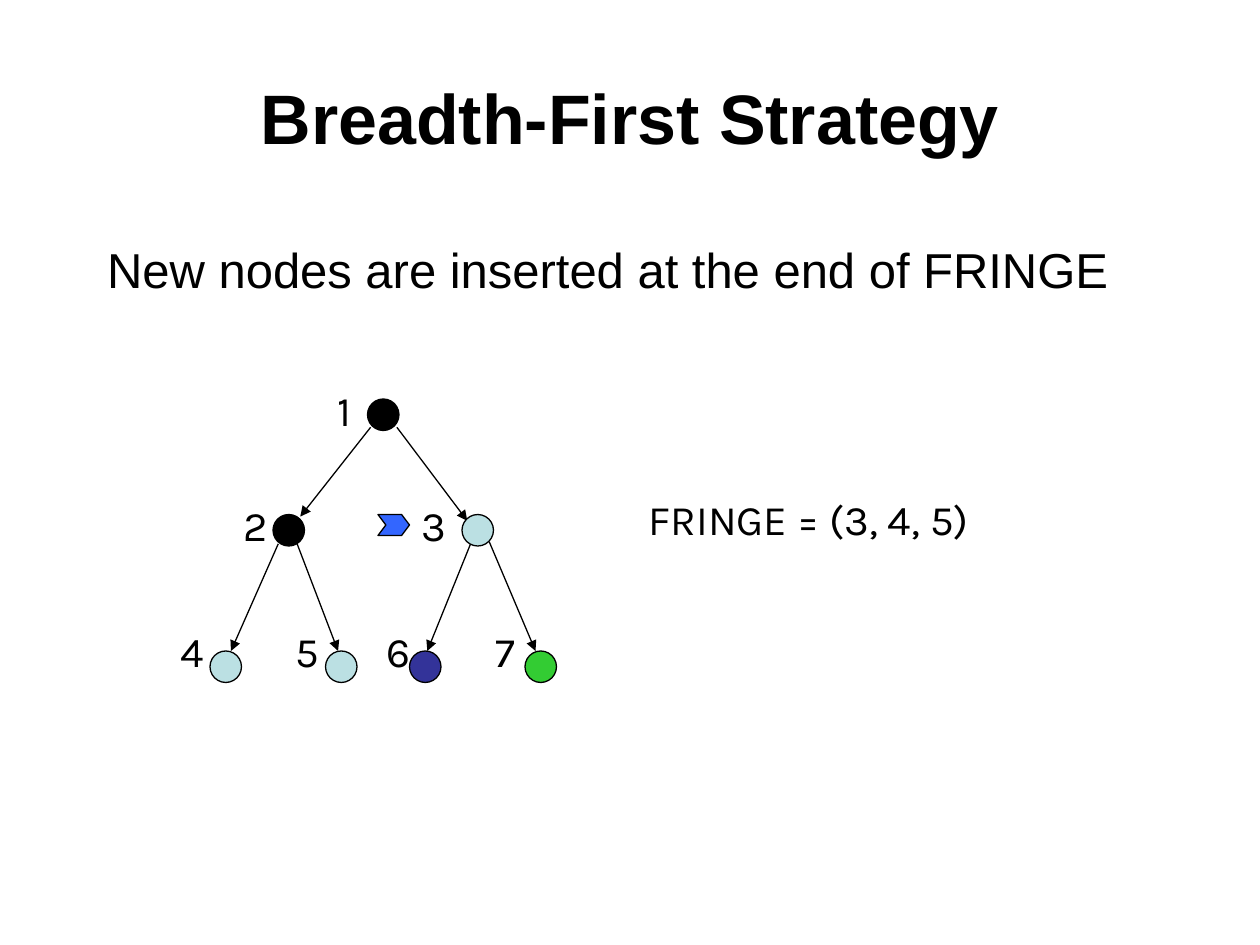
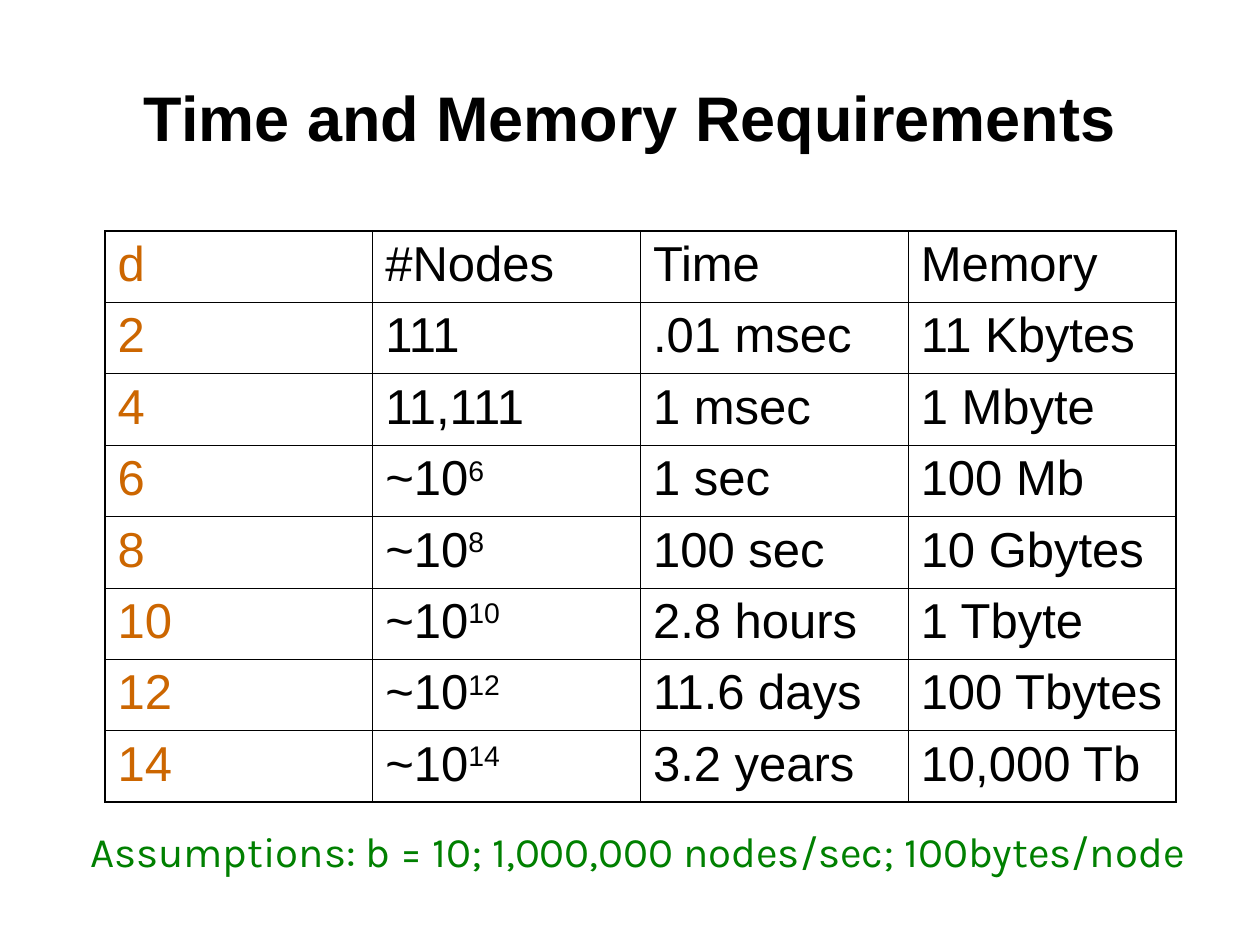
from collections import namedtuple

from lxml import etree
from pptx import Presentation
from pptx.dml.color import RGBColor
from pptx.enum.shapes import MSO_CONNECTOR, MSO_SHAPE
from pptx.enum.text import MSO_ANCHOR, MSO_AUTO_SIZE, PP_ALIGN
from pptx.oxml.ns import qn
from pptx.util import Inches, Pt

STRAIGHT, ELLIPSE = MSO_CONNECTOR.STRAIGHT, MSO_SHAPE.OVAL
MIDDLE, TOP = MSO_ANCHOR.MIDDLE, MSO_ANCHOR.TOP
GROW, FIXED = MSO_AUTO_SIZE.SHAPE_TO_FIT_TEXT, MSO_AUTO_SIZE.NONE
CENTER, LEFT = PP_ALIGN.CENTER, PP_ALIGN.LEFT

Box = namedtuple("Box", "left top width height")
WIDTH, HEIGHT = Inches(10), Inches(7.5)
UNIT = WIDTH // 120

INK, PALE, GOAL, DEEP = "000000", "BBE0E3", "33CC33", "333399"
POINTER, DEPTH, NOTE = "3366FF", "CC6600", "008000"
HAIR, THIN, THICK = 0.45, 0.75, 1.08

BODY_FONT = {"name": "Arial", "size": Pt(28), "bold": False}
TITLE_FONT = {"name": "Arial", "size": Pt(40), "bold": True}
LABEL_FONT = {"name": "Karla", "size": Pt(24), "bold": False}

TITLE_BOX = Box(6, 3.6, 108, 15)
BODY_BOX = Box(6, 21, 108, 59.4)
TREE_BOX = Box(16, 36, 37, 29)
FRINGE_BOX = Box(60.6, 46.4, 34.3, 6)
TABLE_BOX = Box(10, 22, 102, 54.4)
NOTE_BOX = Box(7.4, 78, 110.9, 6)

NODE_SIZE = 3
NODES = [
    ("1", (19, 2), (15, 0), INK),
    ("2", (10, 13), (6, 11), INK),
    ("3", (28, 13), (23, 11), PALE),
    ("4", (4, 26), (0, 23), PALE),
    ("5", (15, 26), (11, 23), PALE),
    ("6", (23, 26), (19.6, 23), DEEP),
    ("7", (34, 26), (30, 23), GOAL),
]
EDGES = [
    ((19.3, 4.7), (12.6, 13.2)),
    ((21.8, 4.7), (28.5, 13.6)),
    ((10.5, 15.8), (6, 26)),
    ((12.3, 15.8), (16.2, 26)),
    ((28.9, 15.6), (24.7, 26)),
    ((30.6, 15.6), (35, 26)),
]
POINTER_AT = (20, 13)
POINTER_OUTLINE = [(0, 0), (2.25, 0), (3, 1), (2.25, 2), (0, 2), (0.75, 1)]

REQUIREMENTS = [
    ("d", "#Nodes", "Time", "Memory"),
    ("2", "111", ".01 msec", "11 Kbytes"),
    ("4", "11,111", "1 msec", "1 Mbyte"),
    ("6", "~10^6", "1 sec", "100 Mb"),
    ("8", "~10^8", "100 sec", "10 Gbytes"),
    ("10", "~10^10", "2.8 hours", "1 Tbyte"),
    ("12", "~10^12", "11.6 days", "100 Tbytes"),
    ("14", "~10^14", "3.2 years", "10,000 Tb"),
]


def color(value):
    """Turn a hex string into a colour."""
    return RGBColor.from_string(value)


def grid(*lengths):
    """Turn grid units into whole slide lengths."""
    return [round(length * UNIT) for length in lengths]


def style(target, values):
    """Set each named attribute of the target."""
    for name, value in values.items():
        setattr(target, name, value)


def write(para, text, font, ink):
    """Write text into a paragraph, raising what follows a caret."""
    for index, part in enumerate(text.split("^")):
        span = para.add_run()
        span.text = part
        style(span.font, font)
        span.font.color.rgb = color(ink)
        if index:
            span._r.get_or_add_rPr().set("baseline", "30000")


def add_text(page, box, text, font, ink=INK, align=LEFT, **frame_values):
    """Add a text box in the given grid box."""
    frame = page.shapes.add_textbox(*grid(*box)).text_frame
    style(frame, {"word_wrap": True, "auto_size": FIXED,
                  "vertical_anchor": TOP, **frame_values})
    para = frame.paragraphs[0]
    para.alignment = align
    write(para, text, font, ink)


def add_label(page, box, text, ink=INK):
    """Add a one-line label that fits its text."""
    add_text(page, box, text, LABEL_FONT, ink, word_wrap=False, auto_size=GROW)


def paint(shape, fill):
    """Fill a shape and give it a thin outline without shadow."""
    shape.shadow.inherit = False
    shape.fill.solid()
    shape.fill.fore_color.rgb = color(fill)
    shape.line.color.rgb = color(INK)
    shape.line.width = Pt(THIN)


def add_arrow(page, start, end):
    """Draw an arrow between two grid points."""
    arrow = page.shapes.add_connector(STRAIGHT, *grid(*start, *end))
    arrow.line.color.rgb = color(INK)
    arrow.line.width = Pt(THIN)
    etree.SubElement(arrow.line._get_or_add_ln(), qn("a:tailEnd"), type="triangle")
    etree.SubElement(arrow._element.spPr, qn("a:effectLst"))


def add_tree(page, box):
    """Draw the search tree with its pointer inside the box."""
    def place(point):
        return box.left + point[0], box.top + point[1]

    for start, end in EDGES:
        add_arrow(page, place(start), place(end))
    for name, spot, label_spot, fill in NODES:
        node = page.shapes.add_shape(ELLIPSE, *grid(*place(spot), NODE_SIZE, NODE_SIZE))
        paint(node, fill)
        add_label(page, Box(*place(label_spot), 4.7, 6), name)
    left, top = place(POINTER_AT)
    corners = [grid(left + x, top + y) for x, y in POINTER_OUTLINE]
    outline = page.shapes.build_freeform(*corners[0])
    outline.add_line_segments(corners[1:], close=True)
    paint(outline.convert_to_shape(), POINTER)


def set_borders(cell, widths):
    """Give the cell sides their line widths in points."""
    properties = cell._tc.get_or_add_tcPr()
    for side, width in widths.items():
        line = etree.SubElement(properties, qn(f"a:ln{side}"), w=str(Pt(width)))
        fill = etree.SubElement(line, qn("a:solidFill"))
        etree.SubElement(fill, qn("a:srgbClr"), val=INK)


def add_requirements(page, box):
    """Add the requirements table with a heavier outer frame."""
    rows, columns = len(REQUIREMENTS), len(REQUIREMENTS[0])
    table = page.shapes.add_table(rows, columns, *grid(*box)).table
    style(table, {"first_row": False, "horz_banding": False})
    for row_index, values in enumerate(REQUIREMENTS):
        for column_index, text in enumerate(values):
            cell = table.cell(row_index, column_index)
            outer = {"L": column_index == 0, "R": column_index == columns - 1,
                     "T": row_index == 0, "B": row_index == rows - 1}
            set_borders(cell, {side: THICK if edge else HAIR
                               for side, edge in outer.items()})
            cell.fill.background()
            write(cell.text_frame.paragraphs[0], text, BODY_FONT,
                  INK if column_index else DEPTH)


def add_page(deck, title, size):
    """Add a blank slide with the shared title style."""
    page = deck.slides.add_slide(deck.slide_layouts[6])
    add_text(page, TITLE_BOX, title, {**TITLE_FONT, "size": Pt(size)},
             align=CENTER, vertical_anchor=MIDDLE)
    return page


def build_strategy(deck):
    """Build the slide on the breadth-first strategy."""
    page = add_page(deck, "Breadth-First Strategy", 40)
    add_text(page, BODY_BOX, "New nodes are inserted at the end of FRINGE",
             BODY_FONT, margin_left=Inches(0.35), margin_top=Inches(0.15))
    add_label(page, FRINGE_BOX, "FRINGE = (3, 4, 5)")
    add_tree(page, TREE_BOX)


def build_requirements(deck):
    """Build the slide on time and memory."""
    page = add_page(deck, "Time and Memory Requirements", 36)
    add_requirements(page, TABLE_BOX)
    add_label(page, NOTE_BOX,
              "Assumptions: b = 10; 1,000,000 nodes/sec; 100bytes/node", NOTE)


def main():
    """Build and save the deck."""
    deck = Presentation()
    style(deck, {"slide_width": WIDTH, "slide_height": HEIGHT})
    build_strategy(deck)
    build_requirements(deck)
    deck.save("out.pptx")


if __name__ == "__main__":
    main()
